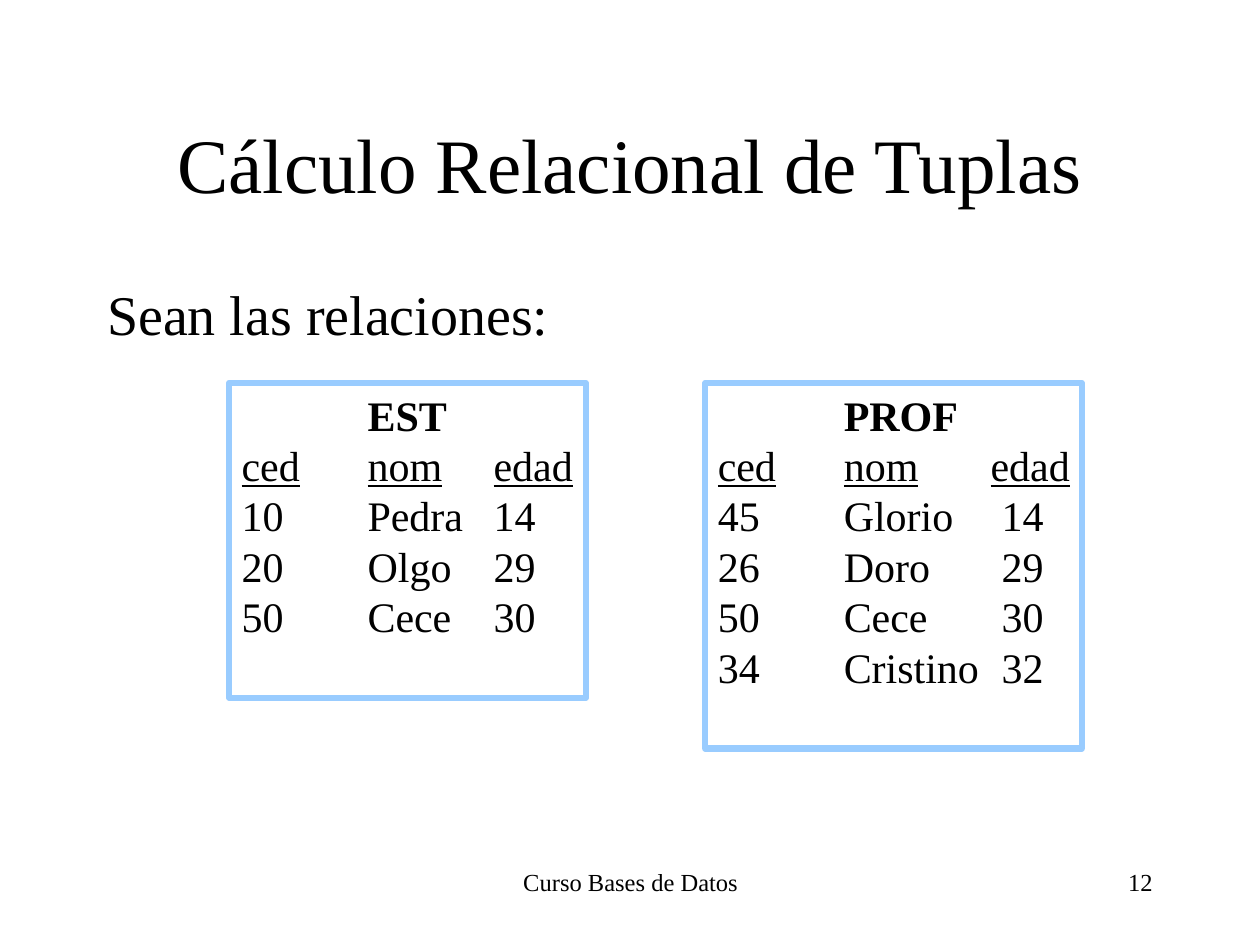
from dataclasses import dataclass

from lxml import etree
from pptx import Presentation
from pptx import util as u
from pptx.dml.color import RGBColor
from pptx.enum import shapes, text
from pptx.oxml.ns import qn


@dataclass(frozen=True)
class Theme:
    """Colours, font and type sizes of the slide."""

    ink: RGBColor = RGBColor(0x00, 0x00, 0x00)
    frame: RGBColor = RGBColor(0x99, 0xCC, 0xFF)
    font: str = "Times New Roman"
    title: int = 44
    body: int = 32
    rows: int = 24
    footer: int = 14
    leading: float = 1.2
    frame_width: float = 3.5


class SlideBuilder:
    """Draw themed elements on the current slide."""

    def __init__(self, prs, theme):
        self.theme = theme
        self.slide = prs.slides.add_slide(prs.slide_layouts[5])

    def style(self, p, size, align=text.PP_ALIGN.LEFT, tabs=()):
        """Format a paragraph, with tab stops given in centimetres."""
        p.alignment = align
        p.line_spacing = u.Pt(size * self.theme.leading)
        if tabs:
            stops = etree.SubElement(p._p.get_or_add_pPr(), qn("a:tabLst"))
            for pos in tabs:
                etree.SubElement(stops, qn("a:tab"), pos=str(u.Cm(pos)), algn="l")
        p.font.name = self.theme.font
        p.font.size = u.Pt(size)
        p.font.color.rgb = self.theme.ink

    def fill_text(self, sp, words, size, align, anchor=text.MSO_ANCHOR.TOP):
        """Fill a shape with one paragraph."""
        tf = sp.text_frame
        tf.word_wrap = True
        tf.auto_size = text.MSO_AUTO_SIZE.NONE
        tf.vertical_anchor = anchor
        p = tf.paragraphs[0]
        p.text = words
        self.style(p, size, align)

    def title(self, words, left, top, width, height):
        """Place and fill the title placeholder."""
        sp = self.slide.shapes.title
        sp.left, sp.top, sp.width, sp.height = map(u.Cm, (left, top, width, height))
        self.fill_text(sp, words, self.theme.title, text.PP_ALIGN.CENTER,
                       text.MSO_ANCHOR.MIDDLE)

    def label(self, words, left, top, width, height, size, align=text.PP_ALIGN.LEFT):
        """Add a text box with one paragraph."""
        sp = self.slide.shapes.add_textbox(*map(u.Cm, (left, top, width, height)))
        self.fill_text(sp, words, size, align)

    def relation(self, name, rows, left, top, width, height, head_tabs, row_tabs):
        """Add a framed relation with its name, attributes and tuples."""
        sp = self.slide.shapes.add_shape(
            shapes.MSO_SHAPE.RECTANGLE, *map(u.Cm, (left, top, width, height)))
        sp.shadow.inherit = False
        sp.fill.background()
        sp.line.color.rgb = self.theme.frame
        sp.line.width = u.Pt(self.theme.frame_width)
        tf = sp.text_frame
        tf.word_wrap = True
        tf.vertical_anchor = text.MSO_ANCHOR.TOP
        tf.margin_right = 0

        p = tf.paragraphs[0]
        self.style(p, self.theme.rows, tabs=head_tabs)
        p.add_run().text = "\t"
        r = p.add_run()
        r.text = name
        r.font.bold = True

        p = tf.add_paragraph()
        self.style(p, self.theme.rows, tabs=head_tabs)
        for i, attribute in enumerate(("ced", "nom", "edad")):
            if i:
                p.add_run().text = "\t"
            r = p.add_run()
            r.text = attribute
            r.font.underline = True

        for row in rows:
            p = tf.add_paragraph()
            p.text = "\t".join(row)
            self.style(p, self.theme.rows, tabs=row_tabs)


def main():
    """Build and save the slide."""
    prs = Presentation()
    prs.slide_width, prs.slide_height = u.Cm(25.4), u.Cm(19.05)
    theme = Theme()
    s = SlideBuilder(prs, theme)
    left, width = 1.91, 21.59
    footer_top, footer_height = 17.35, 1.27
    relation_top = 7.72

    s.label("Curso Bases de Datos", 8.69, footer_top, 8.05, footer_height,
            theme.footer, text.PP_ALIGN.CENTER)
    s.label("12", 18.21, footer_top, 5.28, footer_height,
            theme.footer, text.PP_ALIGN.RIGHT)
    s.title("Cálculo Relacional de Tuplas", left, 1.69, width, 3.18)
    s.label("Sean las relaciones:", left, 5.51, width, 11.43, theme.body)

    est = [("10", "Pedra", "14"), ("20", "Olgo", "29"), ("50", "Cece", "30")]
    prof = [("45", "Glorio", "14"), ("26", "Doro", "29"),
            ("50", "Cece", "30"), ("34", "Cristino", "32")]
    s.relation("EST", est, 4.62, relation_top, 7.19, 6.35, (2.54, 5.08), (2.54, 5.08))
    s.relation("PROF", prof, 14.22, relation_top, 7.59, 7.37, (2.54, 5.5), (2.54, 5.72))
    prs.save("out.pptx")


if __name__ == "__main__":
    main()
